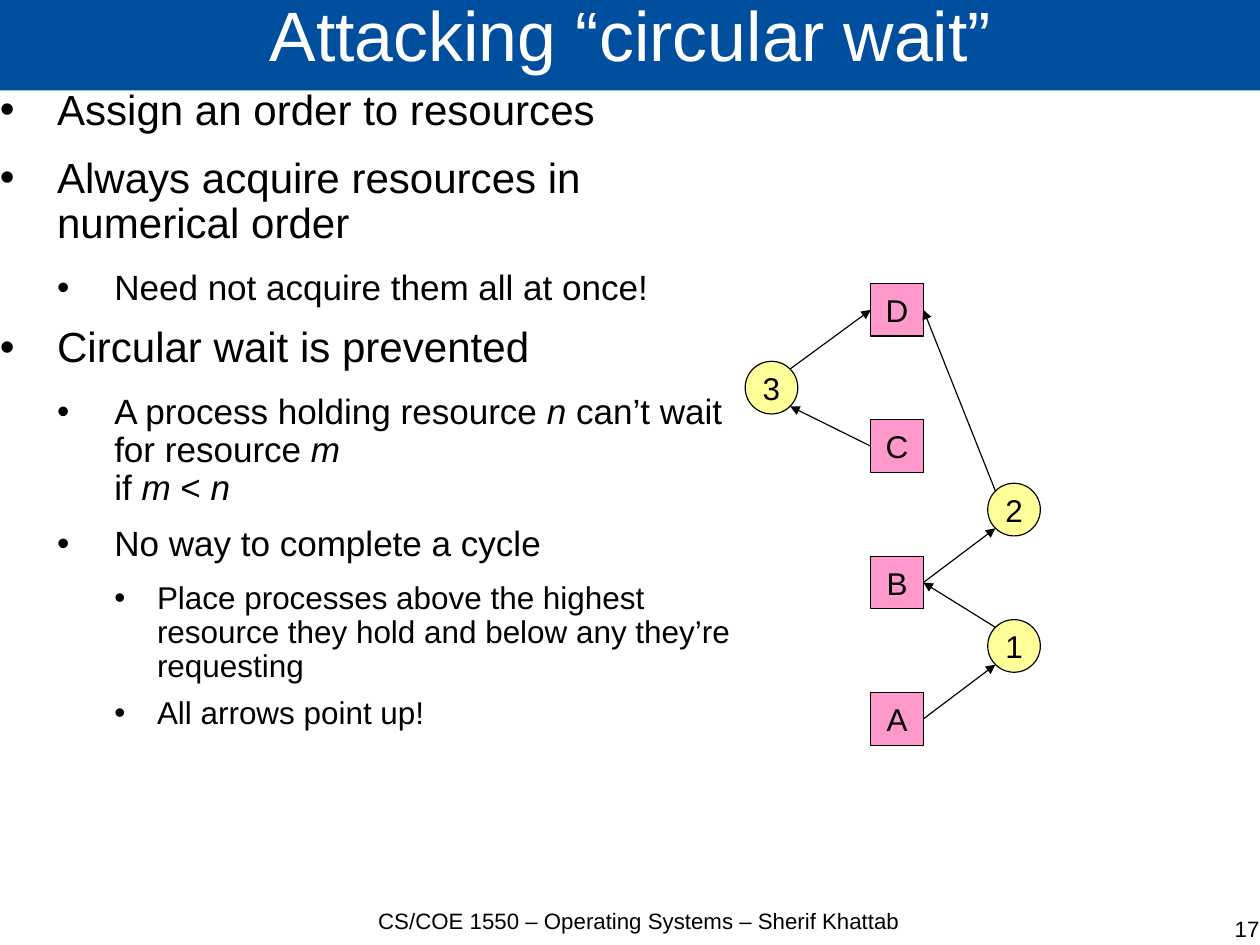
"""Build the slide on attacking circular wait: a rule list beside a resource graph."""
from dataclasses import dataclass

from lxml import etree
from pptx import Presentation
from pptx import util as u
from pptx.dml.color import RGBColor
from pptx.enum import shapes, text
from pptx.oxml.ns import qn


@dataclass(frozen=True)
class Theme:
    font: str = "Arial"
    ink: str = "000000"
    white: str = "FFFFFF"
    blue: str = "004F9E"
    pink: str = "FF99CC"
    yellow: str = "FFFF99"
    title: float = 44
    body: tuple = (26.5, 22.1, 19.8)
    node: float = 19.8
    foot: float = 14
    line: float = 0.75


theme = Theme()
align = text.PP_ALIGN
kinds = shapes.MSO_SHAPE


def color(code):
    return RGBColor.from_string(code)


def write(shape, items, size=None, ink=theme.ink, side=align.LEFT,
          anchor=text.MSO_ANCHOR.TOP, wrap=True, space=None):
    """Fill a shape with (level, text) items; level None has no bullet, *x* is italic."""
    frame = shape.text_frame
    frame.margin_left = frame.margin_right = frame.margin_top = frame.margin_bottom = 0
    frame.auto_size = text.MSO_AUTO_SIZE.NONE
    frame.word_wrap = wrap
    frame.vertical_anchor = anchor
    for i, (level, words) in enumerate(items):
        para = frame.add_paragraph() if i else frame.paragraphs[0]
        if level is not None:
            para.level = level
            props = para._p.get_or_add_pPr()
            left, hang = ((1.27, 1.27), (2.54, 1.27), (3.49, 0.95))[level]
            props.set("marL", str(u.Cm(left)))
            props.set("indent", str(-u.Cm(hang)))
            tint = etree.SubElement(props, qn("a:buClr"))
            etree.SubElement(tint, qn("a:srgbClr"), val=ink)
            etree.SubElement(props, qn("a:buFont"), typeface=theme.font)
            etree.SubElement(props, qn("a:buChar"), char="•")
            para.space_after = u.Pt((14.2, 11.4, 8.5)[level])
        para.alignment = side
        if space:
            para.line_spacing = space
        for j, row in enumerate(words.split("\n")):
            if j:
                para.add_line_break()
            for k, part in enumerate(row.split("*")):
                if part:
                    run = para.add_run()
                    run.text = part
                    run.font.name = theme.font
                    run.font.size = u.Pt(size or theme.body[level])
                    run.font.color.rgb = color(ink)
                    run.font.italic = k % 2 == 1


deck = Presentation()
deck.slide_width, deck.slide_height = u.Cm(28), u.Cm(21)
slide = deck.slides.add_slide(deck.slide_layouts[5])
draw = slide.shapes

title = draw.title
title.left, title.top, title.width, title.height = map(u.Cm, (0, -0.05, 28.04, 2.06))
title.fill.solid()
title.fill.fore_color.rgb = color(theme.blue)
write(title, [(None, "Attacking “circular wait”")], size=theme.title, ink=theme.white,
      side=align.CENTER, anchor=text.MSO_ANCHOR.MIDDLE, space=0.69)

rules = [
    (0, "Assign an order to resources"),
    (0, "Always acquire resources in numerical order"),
    (1, "Need not acquire them all at once!"),
    (0, "Circular wait is prevented"),
    (1, "A process holding resource *n* can’t wait for resource *m*\nif *m* < *n*"),
    (1, "No way to complete a cycle"),
    (2, "Place processes above the highest resource they hold "
        "and below any they’re requesting"),
    (2, "All arrows point up!"),
]
body = draw.add_textbox(*map(u.Cm, (0, 1.98, 17.04, 18.24)))
write(body, rules, space=0.9)

for words, left, top, side in (
        ("CS/COE 1550 – Operating Systems – Sherif Khattab", 7.8, 20.17, align.CENTER),
        ("17", 15.19, 20.35, align.RIGHT)):
    foot = draw.add_textbox(*map(u.Cm, (left, top, 12.8, 0.65)))
    write(foot, [(None, words)], size=theme.foot, side=side)

side, step, base = 1.17, 3.03, 15.39
squares = {name: (19.35, base - i * step) for i, name in enumerate("ABCD")}
circles = {"1": (21.95, 13.77), "2": (21.95, 13.77 - step), "3": (16.56, 8.03)}
nodes = {}
for group, kind, fill in ((squares, kinds.RECTANGLE, theme.pink),
                          (circles, kinds.OVAL, theme.yellow)):
    for name, (left, top) in group.items():
        node = nodes[name] = draw.add_shape(kind, *map(u.Cm, (left, top, side, side)))
        node.shadow.inherit = False
        node.fill.solid()
        node.fill.fore_color.rgb = color(fill)
        node.line.color.rgb = color(theme.ink)
        node.line.width = u.Pt(theme.line)
        write(node, [(None, name)], size=theme.node, side=align.CENTER,
              anchor=text.MSO_ANCHOR.MIDDLE, wrap=False)

inset = 0.17
for start, end in ("A1", "1B", "B2", "2D", "3D", "C3"):
    square, circle = (start, end) if start in squares else (end, start)
    (sx, sy), (cx, cy) = squares[square], circles[circle]
    right, below = cx > sx, cy > sy
    joint = (sx + side * right, sy + side / 2)
    rim = (cx + (inset if right else side - inset),
           cy + (inset if below else side - inset))
    ends = joint + rim if start == square else rim + joint
    arrow = draw.add_connector(shapes.MSO_CONNECTOR.STRAIGHT, *map(u.Cm, ends))
    join = arrow.begin_connect if start == square else arrow.end_connect
    join(nodes[square], 3 if right else 1)
    arrow.line.color.rgb = color(theme.ink)
    arrow.line.width = u.Pt(theme.line)
    etree.SubElement(arrow.line._get_or_add_ln(), qn("a:tailEnd"), type="triangle")
    etree.SubElement(arrow._element.spPr, qn("a:effectLst"))

deck.save("out.pptx")
